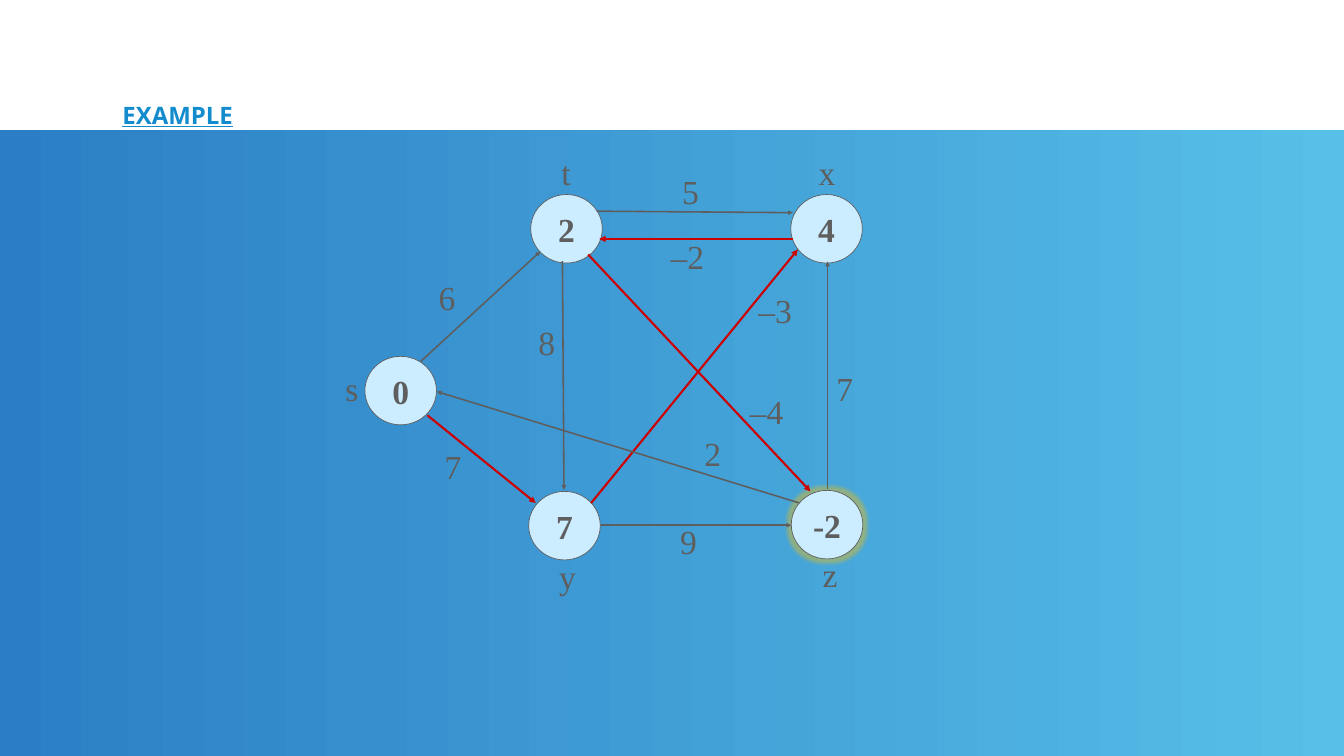
"""Builds the weighted shortest-path example slide."""
import dataclasses

import pptx
import pptx.dml.color
import pptx.enum.shapes
import pptx.enum.text
import pptx.oxml
import pptx.oxml.ns
import pptx.util

SHAPE = pptx.enum.shapes.MSO_SHAPE
ANCHOR = pptx.enum.text.MSO_ANCHOR
ALIGN = pptx.enum.text.PP_ALIGN
NS = pptx.oxml.ns.nsdecls("a")


@dataclasses.dataclass(frozen=True)
class Theme:
    band_start: str = "2B7EC4"
    band_end: str = "57BFE8"
    title: str = "128CCD"
    node: str = "CCECFF"
    ink: str = "5E5E5E"
    path_edge: str = "CC0000"
    glow: str = "FFC000"
    title_font: str = "Open Sans"
    graph_font: str = "Times New Roman"
    title_size: float = 34.2
    graph_size: float = 48
    outline: float = 1
    edge_width: float = 2.25
    path_width: float = 3
    glow_radius: float = 11


def rgb(value):
    return pptx.dml.color.RGBColor.from_string(value)


class GraphSlide:
    """Draws on one slide, with lengths in cells of an 80 by 45 grid."""

    COLUMNS, ROWS = 80, 45
    NODE_WIDTH, NODE_HEIGHT = 4.26, 4.08
    LABEL_HEIGHT, LABEL_INSET, EM = 2.73, 0.3, 2
    GLYPH_WIDTHS = {"s": 0.39, "t": 0.28, "z": 0.44}

    def __init__(self, deck, theme):
        self.theme = theme
        self.cell_width = deck.slide_width / self.COLUMNS
        self.cell_height = deck.slide_height / self.ROWS
        self.slide = deck.slides.add_slide(deck.slide_layouts[5])
        self.shapes = self.slide.shapes

    def x(self, columns):
        return pptx.util.Emu(round(columns * self.cell_width))

    def y(self, rows):
        return pptx.util.Emu(round(rows * self.cell_height))

    def box(self, left, top, width, height):
        return self.x(left), self.y(top), self.x(width), self.y(height)

    def centred(self, centre, width, height):
        return self.box(centre[0] - width / 2, centre[1] - height / 2, width, height)

    def add_text(self, frame, text, font, size, color, bold=False, align=ALIGN.CENTER):
        frame.vertical_anchor = ANCHOR.MIDDLE
        paragraph = frame.paragraphs[0]
        paragraph.alignment = align
        run = paragraph.add_run()
        run.text = text
        run.font.name = font
        run.font.size = pptx.util.Pt(size)
        run.font.bold = bold
        run.font.color.rgb = rgb(color)
        return run

    def title(self, text, *place):
        heading = self.shapes.title
        heading.left, heading.top, heading.width, heading.height = self.box(*place)
        frame = heading.text_frame
        frame.word_wrap = True
        frame.auto_size = pptx.enum.text.MSO_AUTO_SIZE.NONE
        frame.margin_left = frame.margin_right = pptx.util.Inches(0.06)
        frame.margin_top = frame.margin_bottom = pptx.util.Inches(0.06)
        run = self.add_text(frame, text, self.theme.title_font, self.theme.title_size,
                            self.theme.title, bold=True, align=ALIGN.LEFT)
        run.font.underline = True
        frame.paragraphs[0].line_spacing = 0.8

    def band(self, top):
        band = self.shapes.add_shape(
            SHAPE.RECTANGLE, *self.box(0, top, self.COLUMNS, self.ROWS - top))
        band.shadow.inherit = False
        band.line.fill.background()
        band.fill.gradient()
        band.fill.gradient_angle = 0
        colors = (self.theme.band_start, self.theme.band_end)
        for stop, color in zip(band.fill.gradient_stops, colors):
            stop.color.rgb = rgb(color)
        self.shapes.element.insert(2, band.element)

    def node(self, distance, centre, glowing=False):
        node = self.shapes.add_shape(
            SHAPE.OVAL, *self.centred(centre, self.NODE_WIDTH, self.NODE_HEIGHT))
        node.shadow.inherit = False
        node.fill.solid()
        node.fill.fore_color.rgb = rgb(self.theme.node)
        node.line.color.rgb = rgb(self.theme.ink)
        node.line.width = pptx.util.Pt(self.theme.outline)
        node.text_frame.word_wrap = False
        self.add_text(node.text_frame, distance, self.theme.graph_font,
                      self.theme.graph_size, self.theme.ink, bold=True)
        if glowing:
            effects = node.element.spPr.find(pptx.oxml.ns.qn("a:effectLst"))
            radius = pptx.util.Pt(self.theme.glow_radius)
            effects.append(pptx.oxml.parse_xml(
                f'<a:glow {NS} rad="{radius}"><a:srgbClr val="{self.theme.glow}">'
                '<a:alpha val="40000"/></a:srgbClr></a:glow>'))

    def edge(self, start, end, on_path):
        edge = self.shapes.add_connector(
            pptx.enum.shapes.MSO_CONNECTOR.STRAIGHT,
            self.x(start[0]), self.y(start[1]), self.x(end[0]), self.y(end[1]))
        theme = self.theme
        edge.line.color.rgb = rgb(theme.path_edge if on_path else theme.ink)
        edge.line.width = pptx.util.Pt(theme.path_width if on_path else theme.edge_width)
        properties = edge.element.spPr
        properties.find(pptx.oxml.ns.qn("a:ln")).append(
            pptx.oxml.parse_xml(f'<a:tailEnd {NS} type="triangle"/>'))
        properties.append(pptx.oxml.parse_xml(f"<a:effectLst {NS}/>"))

    def label(self, text, centre):
        ems = sum(self.GLYPH_WIDTHS.get(glyph, 0.5) for glyph in text)
        width = ems * self.EM + 2 * self.LABEL_INSET
        label = self.shapes.add_textbox(*self.centred(centre, width, self.LABEL_HEIGHT))
        label.text_frame.word_wrap = False
        self.add_text(label.text_frame, text, self.theme.graph_font,
                      self.theme.graph_size, self.theme.ink)


VERTICES = [
    ("s", "0", (23.85, 23.25), (20.94, 23.09)),
    ("z", "-2", (49.23, 31.23), (49.41, 34.19)),
    ("y", "7", (33.6, 31.29), (33.78, 34.28)),
    ("x", "4", (49.2, 13.62), (49.23, 10.22)),
    ("t", "2", (33.72, 13.62), (33.7, 10.22)),
]

EDGES = [
    ("6", (25.05, 21.51), (32.16, 14.97), (26.61, 17.69), False),
    ("7", (25.44, 24.72), (31.89, 29.94), (26.97, 27.74), True),
    ("8", (33.48, 15.54), (33.57, 29.16), (32.55, 20.36), False),
    ("7", (49.26, 29.13), (49.26, 15.57), (50.28, 23.09), False),
    ("9", (35.76, 31.26), (47.1, 31.26), (40.98, 32.18), False),
    ("5", (35.52, 12.57), (47.19, 12.66), (41.1, 11.36), False),
    ("–3", (35.19, 29.94), (47.49, 14.85), (46.14, 18.44), True),
    ("2", (47.58, 29.94), (26.01, 23.31), (42.42, 26.99), False),
    ("–2", (47.22, 14.22), (35.67, 14.22), (40.92, 15.26), True),
    ("–4", (35.01, 15.15), (48.24, 29.25), (45.63, 24.47), True),
]


def main():
    deck = pptx.Presentation()
    deck.slide_width = pptx.util.Inches(26.67)
    deck.slide_height = pptx.util.Inches(15)
    graph = GraphSlide(deck, Theme())
    graph.band(7.74)
    graph.title("EXAMPLE", 7.11, 6.15, 48.27, 1.68)
    for name, distance, centre, _ in VERTICES:
        graph.node(distance, centre, glowing=name == "z")
    for _, start, end, _, on_path in EDGES:
        graph.edge(start, end, on_path)
    for name, _, _, name_centre in VERTICES:
        graph.label(name, name_centre)
    for weight, _, _, weight_centre, _ in EDGES:
        graph.label(weight, weight_centre)
    deck.save("out.pptx")


if __name__ == "__main__":
    main()
